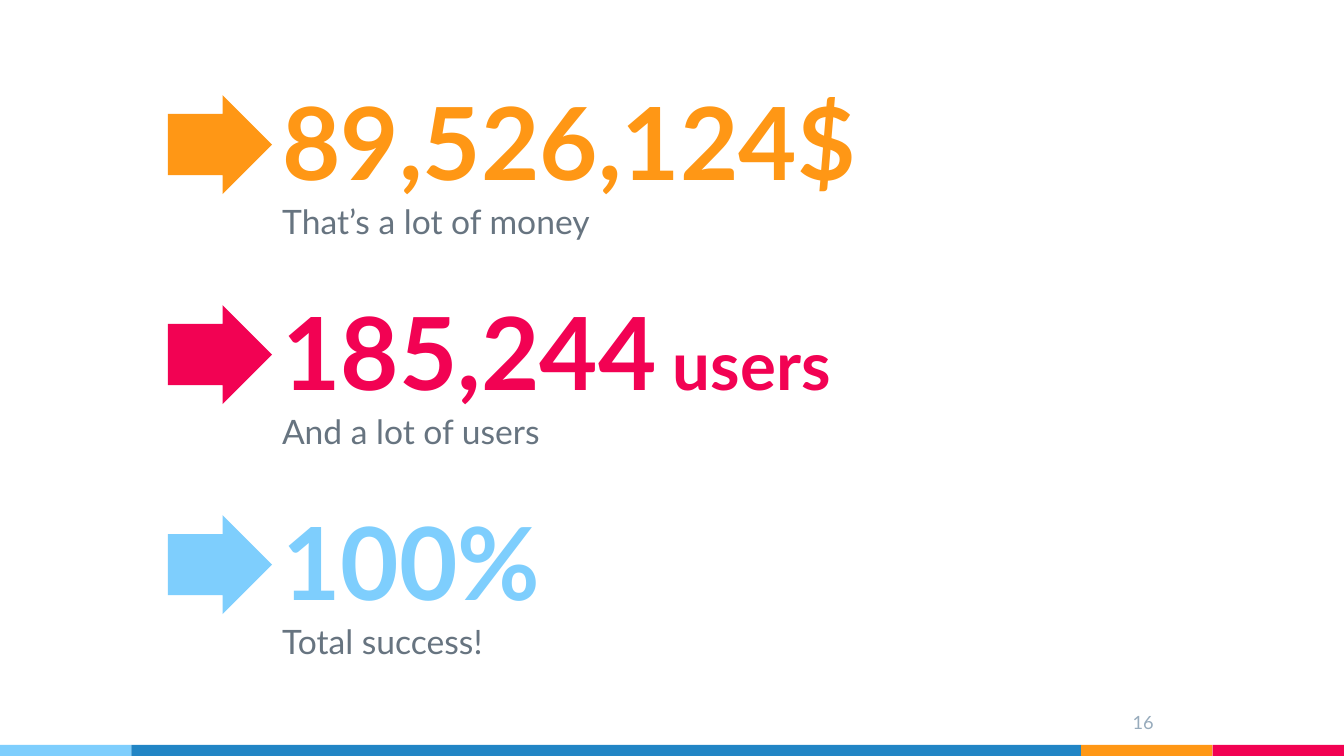
from pptx import Presentation
from pptx.dml.color import RGBColor
from pptx.enum.shapes import MSO_SHAPE
from pptx.enum.text import MSO_ANCHOR, MSO_AUTO_SIZE, PP_ALIGN
from pptx.util import Inches, Pt

RECT, ARROW = MSO_SHAPE.RECTANGLE, MSO_SHAPE.RIGHT_ARROW
TOP, BOTTOM = MSO_ANCHOR.TOP, MSO_ANCHOR.BOTTOM
LEFT, RIGHT = PP_ALIGN.LEFT, PP_ALIGN.RIGHT
FIXED = MSO_AUTO_SIZE.NONE

ORANGE, RED, SKY, BLUE = "FF9715", "F20253", "7ECEFD", "2185C5"
SLATE, MIST = "677480", "97ABBC"
PITCH = 27.78
FACTS = [
    ("89,526,124$", "", "That’s a lot of money", ORANGE),
    ("185,244", " users", "And a lot of users", RED),
    ("100%", "", "Total success!", SKY),
]
BANDS = [(9.78, SKY), (70.67, BLUE), (9.77, ORANGE), (9.78, RED)]


def color(code):
    return RGBColor.from_string(code)


class Deck:
    """Draw styled elements on a slide, with lengths in percent of its size."""

    def __init__(self, font):
        self.font = font
        self.file = Presentation()
        self.file.slide_width = Inches(13.33)
        self.file.slide_height = Inches(7.5)
        self.slide = self.file.slides.add_slide(self.file.slide_layouts[0])

    def place(self, left, top, width, height):
        wide, high = self.file.slide_width, self.file.slide_height
        return [round(share * size / 100) for share, size in
                zip((left, top, width, height), (wide, high, wide, high))]

    def shape(self, kind, box, fill):
        shape = self.slide.shapes.add_shape(kind, *self.place(*box))
        shape.shadow.inherit = False
        shape.fill.solid()
        shape.fill.fore_color.rgb = color(fill)
        shape.line.fill.background()
        return shape

    def arrow(self, box, fill):
        arrow = self.shape(ARROW, box, fill)
        arrow.adjustments[0] = 0.62
        arrow.adjustments[1] = 0.5

    def text(self, box, words, size, tint, bold=False, anchor=TOP,
             align=LEFT, before=0, holder=None):
        area = self.place(*box)
        item = holder or self.slide.shapes.add_textbox(*area)
        item.left, item.top, item.width, item.height = area
        frame = item.text_frame
        frame.word_wrap = True
        frame.auto_size = FIXED
        frame.vertical_anchor = anchor
        frame.margin_left = frame.margin_right = Inches(0.1)
        frame.margin_top = frame.margin_bottom = Inches(0.1)
        line = frame.paragraphs[0]
        line.text = words
        line.alignment = align
        line.space_before = Pt(before)
        line.font.name = self.font
        line.font.size = Pt(size)
        line.font.bold = bold
        line.font.color.rgb = color(tint)
        return line

    def fact(self, row, value, unit, note, tint):
        top = row * PITCH
        title, body = self.slide.placeholders if row == 0 else (None, None)
        line = self.text((20.25, top + 10.4, 61.66, 17.47), value, 72, tint,
                         bold=True, anchor=BOTTOM, holder=title)
        if unit:
            run = line.add_run()
            run.text = unit
            run.font.size = Pt(48)
        self.text((20.25, top + 25.2, 61.66, 9.07), note, 24, SLATE,
                  before=6, holder=body)
        self.arrow((12.5, top + 12.6, 7.75, 13.07), tint)

    def footer(self, bands, page):
        left = 0
        for width, fill in bands:
            self.shape(RECT, (left, 98.53, width, 1.47), fill)
            left += width
        self.text((82.07, 92.8, 4.5, 6.13), page, 13, MIST, align=RIGHT)


def main():
    deck = Deck("Lato")
    for row, fact in enumerate(FACTS):
        deck.fact(row, *fact)
    deck.footer(BANDS, "16")
    deck.file.save("out.pptx")


if __name__ == "__main__":
    main()
